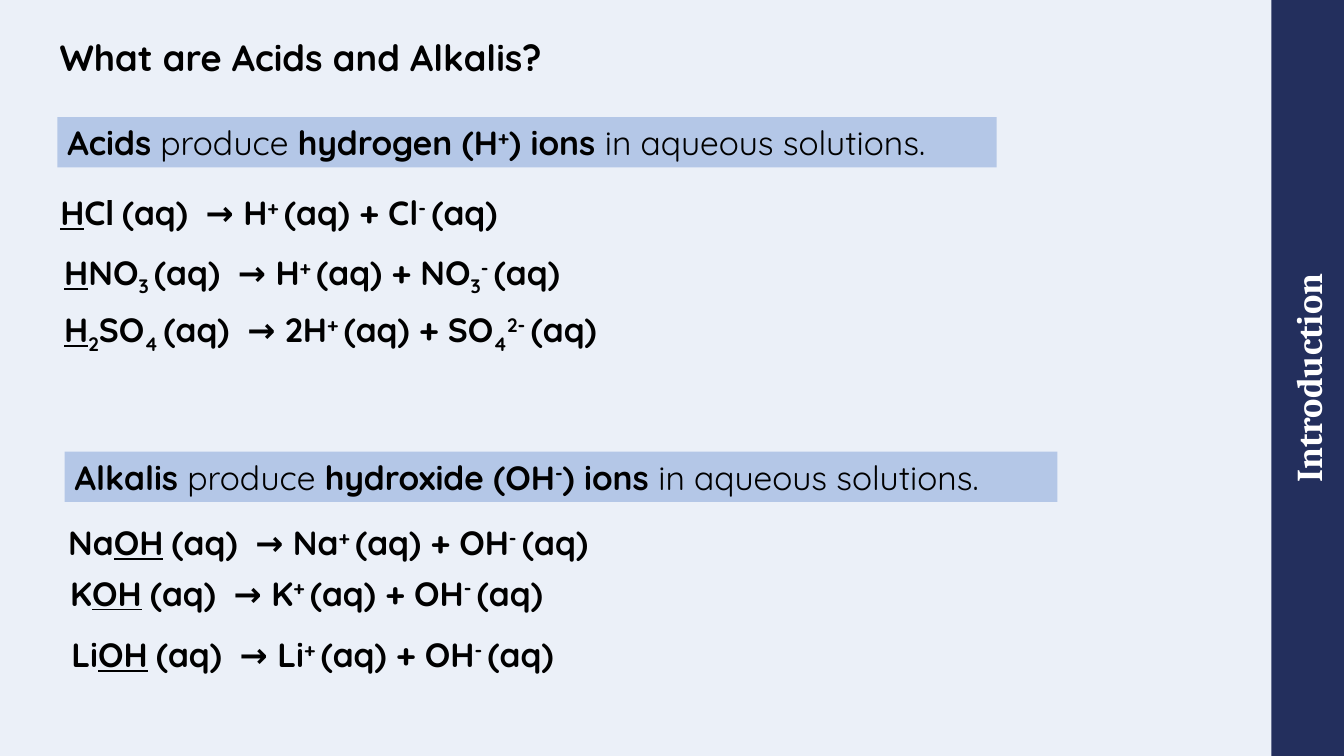
import pptx
import pptx.dml.color
import pptx.enum.shapes
import pptx.enum.text
import pptx.util

Cm = pptx.util.Cm
Pt = pptx.util.Pt
ANCHOR = pptx.enum.text.MSO_ANCHOR
ALIGN = pptx.enum.text.PP_ALIGN
SIZE = (33.87, 19.05)
LINE = 1.27  # height of a bar or an equation box


def hue(code):
    return pptx.dml.color.RGBColor.from_string(code)


def add_run(para, text, marks="", size=24, face="Quicksand", color="000000"):
    """Marks: n not bold, u underlined, l Lato, ^ raised, _ lowered, w wide."""
    run = para.add_run()
    run.text = text
    font = run.font
    font.size = Pt(size)
    font.name = "Lato" if "l" in marks else face
    font.bold = "n" not in marks
    font.underline = True if "u" in marks else None
    font.color.rgb = hue(color)
    props = run._r.get_or_add_rPr()
    for mark, key, value in (("^", "baseline", "30000"),
                             ("_", "baseline", "-25000"),
                             ("w", "spc", "600")):
        if mark in marks:
            props.set(key, value)


def add_runs(para, runs):
    for text, marks in runs:
        add_run(para, text, marks)


def trim(frame):
    frame.margin_left = frame.margin_right = 0
    frame.margin_top = frame.margin_bottom = 0
    frame.word_wrap = True


def add_bar(slide, box, fill):
    bar = slide.shapes.add_shape(
        pptx.enum.shapes.MSO_SHAPE.RECTANGLE, *map(Cm, box))
    bar.shadow.inherit = False
    bar.fill.solid()
    bar.fill.fore_color.rgb = hue(fill)
    bar.line.fill.background()
    return bar


def add_side(slide, box, text):
    """Fill a tall box with a bar turned to read upwards."""
    left, top, width, height = box
    shift = (height - width) / 2
    bar = add_bar(slide, (left - shift, top + shift, height, width), "232F5D")
    bar.rotation = 270
    frame = bar.text_frame
    trim(frame)
    frame.vertical_anchor = ANCHOR.MIDDLE
    para = frame.paragraphs[0]
    para.alignment = ALIGN.CENTER
    add_run(para, text, size=26, face="Cambria", color="FFFFFF")


def add_title(slide, box, text):
    title = slide.shapes.title
    title.left, title.top, title.width, title.height = map(Cm, box)
    frame = title.text_frame
    trim(frame)
    frame.auto_size = pptx.enum.text.MSO_AUTO_SIZE.NONE
    frame.vertical_anchor = ANCHOR.BOTTOM
    para = frame.paragraphs[0]
    para.alignment = ALIGN.LEFT
    para.line_spacing = 0.9
    add_run(para, text, size=26)


def add_rule(slide, box, name, ion, charge):
    """State in a bar which ion a kind of substance gives."""
    frame = add_bar(slide, box, "B4C7E7").text_frame
    frame.word_wrap = True
    frame.vertical_anchor = ANCHOR.TOP
    para = frame.paragraphs[0]
    para.alignment = ALIGN.LEFT
    add_runs(para, [(name, ""), (" produce ", "n"), (ion, ""), (charge, "^"),
                    (") ions ", ""), ("in aqueous solutions.", "n")])


def add_react(slide, box, source, metal, rest):
    """Write one equation: source gives metal (or H) and the rest."""
    frame = slide.shapes.add_textbox(*map(Cm, box)).text_frame
    frame.word_wrap = True
    add_runs(frame.paragraphs[0], source + [
        ("(aq)", ""), (" ", "w"), ("→ " + metal, ""), ("+ ", "^"),
        ("(aq) + ", "")] + rest + [("(aq)", "")])


def add_group(slide, box, rule, reacts):
    """Put a rule at the top of the box and its equations below."""
    left, top, width = box
    add_rule(slide, (left, top, width, LINE), *rule)
    for right, down, span, *parts in reacts:
        add_react(slide, (left + right, top + down, span, LINE), *parts)


def base(metal):
    """Parts of the equation of a metal hydroxide."""
    return ([(metal, ""), ("OH", "u"), (" ", "l")], metal,
            [("OH", ""), ("- ", "^")])


ACIDS = [
    (-0.18, 1.77, 13.44, [("H", "u"), ("C", ""), ("l ", "l")], "H",
     [("Cl", ""), ("- ", "^")]),
    (-0.08, 3.27, 15.88, [("H", "u"), ("NO", ""), ("3 ", "_")], "H",
     [("NO", ""), ("3", "_"), ("- ", "^")]),
    (-0.08, 4.72, 16.87,
     [("H", "u"), ("2", "_"), ("SO", ""), ("4 ", "_")], "2H",
     [("SO", ""), ("4", "_"), ("2- ", "^")]),
]
BASES = [
    (-0.16, 1.65, 14.71, *base("Na")),
    (-0.11, 2.92, 14.71, *base("K")),
    (-0.08, 4.47, 14.71, *base("Li")),
]


def main():
    deck = pptx.Presentation()
    deck.slide_width, deck.slide_height = map(Cm, SIZE)
    slide = deck.slides.add_slide(deck.slide_layouts.get_by_name("Title Only"))
    slide.background.fill.solid()
    slide.background.fill.fore_color.rgb = hue("EBF0F8")
    add_side(slide, (32.04, 0, 1.83, SIZE[1]), "Introduction")
    add_title(slide, (1.5, 0, 29.49, 2), "What are Acids and Alkalis?")
    add_group(slide, (1.45, 2.95, 23.67),
              ("Acids", "hydrogen (H", "+"), ACIDS)
    add_group(slide, (1.63, 11.38, 25.02),
              ("Alkalis", "hydroxide (OH", "-"), BASES)
    deck.save("out.pptx")


if __name__ == "__main__":
    main()
